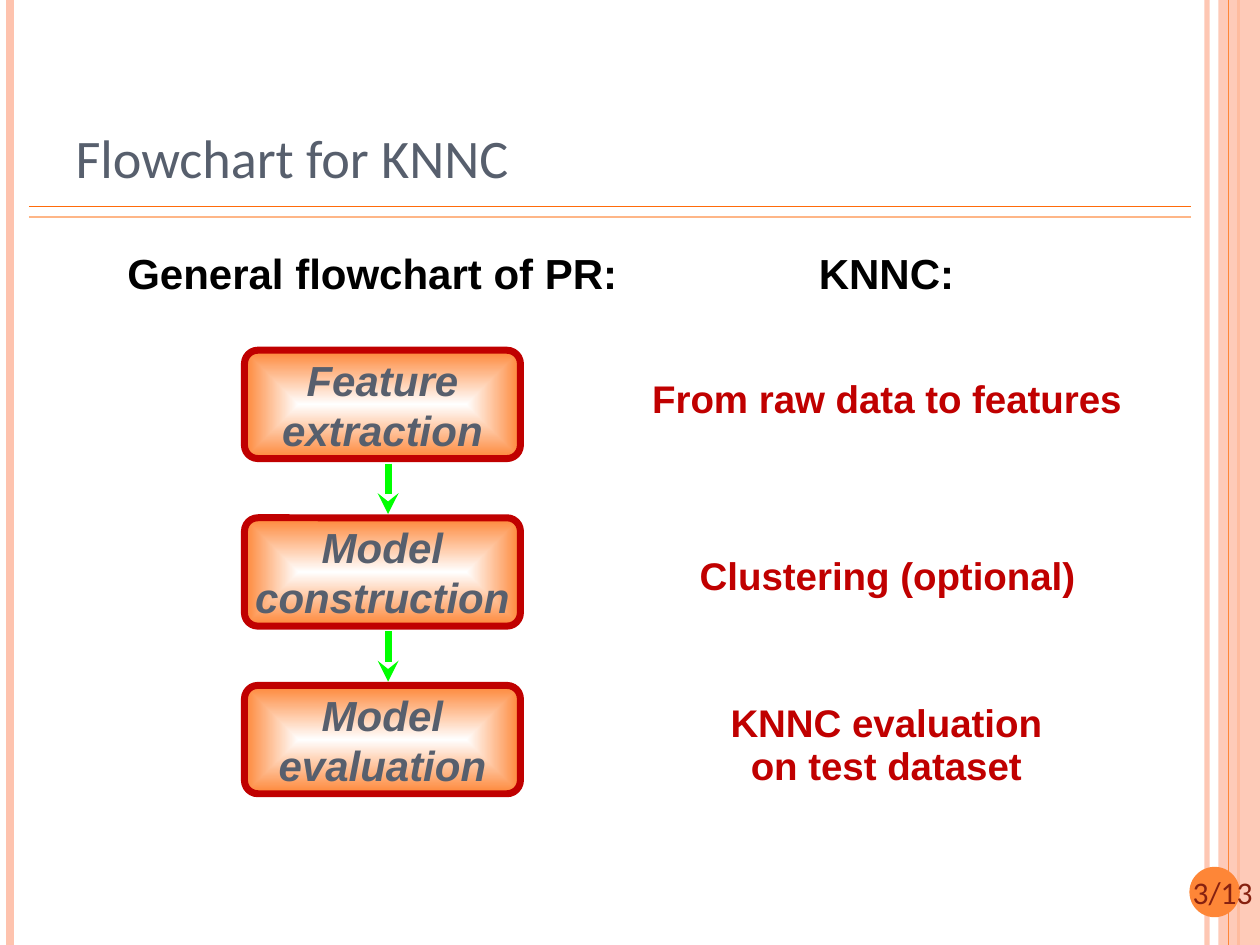
from dataclasses import dataclass

from lxml import etree
from pptx import Presentation
from pptx.dml.color import RGBColor
from pptx.enum.shapes import MSO_CONNECTOR, MSO_SHAPE
from pptx.enum.text import MSO_ANCHOR, PP_ALIGN
from pptx.oxml.ns import qn
from pptx.util import Inches, Pt

STRAIGHT = MSO_CONNECTOR.STRAIGHT
RECTANGLE, ROUNDED, OVAL = MSO_SHAPE.RECTANGLE, MSO_SHAPE.ROUNDED_RECTANGLE, MSO_SHAPE.OVAL
TOP, MIDDLE, BOTTOM = MSO_ANCHOR.TOP, MSO_ANCHOR.MIDDLE, MSO_ANCHOR.BOTTOM
LEFT, CENTER, RIGHT = PP_ALIGN.LEFT, PP_ALIGN.CENTER, PP_ALIGN.RIGHT


@dataclass(frozen=True)
class Theme:
    heading_font: str = "Calibri"
    body_font: str = "Arial"
    slate: str = "575F6D"
    black: str = "000000"
    white: str = "FFFFFF"
    red: str = "C00000"
    brown: str = "862110"
    green: str = "00FF00"
    orange: str = "FE8637"
    deep_orange: str = "FF6B0A"
    light_orange: str = "FEB687"
    pink: str = "FEC3AE"
    title_size: float = 31
    step_size: float = 24
    note_size: float = 22
    number_size: float = 18


theme = Theme()


def write_text(frame, text, *, size, color, font=theme.body_font, bold=False, italic=False,
               align=CENTER, anchor=TOP, wrap=False, tight=False):
    """Fill a text frame, one paragraph per line; tight closes up the line spacing."""
    frame.text = text
    frame.word_wrap = wrap
    frame.vertical_anchor = anchor
    for para in frame.paragraphs:
        para.alignment = align
        if tight:
            para.line_spacing = 0.65
            para.space_before = Pt(round(0.345 * size, 1))
        for span in para.runs:
            span.font.name = font
            span.font.size = Pt(size)
            span.font.bold = bold
            span.font.italic = italic
            span.font.color.rgb = RGBColor.from_string(color)


def draw_line(page, x1, y1, x2, y2, color, width):
    line = page.shapes.add_connector(STRAIGHT, Inches(x1), Inches(y1), Inches(x2), Inches(y2))
    line.line.color.rgb = RGBColor.from_string(color)
    line.line.width = Pt(width)
    etree.SubElement(line.element.spPr, qn("a:effectLst"))
    return line


deck = Presentation()
deck.slide_width, deck.slide_height = Inches(10), Inches(7.5)
page = deck.slides.add_slide(deck.slide_layouts[5])

# Side stripes and band
inner_stripe = draw_line(page, 9.58, 0, 9.58, 7.5, theme.pink, 3)
draw_line(page, 0.08, 0, 0.08, 7.5, theme.pink, 4.5)
draw_line(page, 9.83, 0, 9.83, 7.5, theme.orange, 1.5)
band = page.shapes.add_shape(RECTANGLE, Inches(9.67), 0, Inches(0.33), Inches(7.5))
badge = page.shapes.add_shape(OVAL, Inches(9.44), Inches(6.88), Inches(0.4), Inches(0.4))
for shape, color in ((band, theme.pink), (badge, theme.orange)):
    shape.shadow.inherit = False
    shape.fill.solid()
    shape.fill.fore_color.rgb = RGBColor.from_string(color)
    shape.line.fill.background()
for shape, opacity in ((inner_stripe, 93), (band, 87)):
    tint = next(shape.element.spPr.iter(qn("a:srgbClr")))
    etree.SubElement(tint, qn("a:alpha"), val=str(opacity * 1000))
draw_line(page, 9.75, 0, 9.75, 7.5, theme.orange, 0.75)

# Title with its double rule
for y, color in ((1.64, theme.deep_orange), (1.72, theme.light_orange)):
    draw_line(page, 0.23, y, 9.45, y, color, 1)
title = page.shapes.title
title.left, title.top, title.width, title.height = map(Inches, (0.5, 0.3, 8.17, 1.25))
write_text(title.text_frame, "Flowchart for KNNC", size=theme.title_size, color=theme.slate,
           font=theme.heading_font, align=LEFT, anchor=BOTTOM, wrap=True)

# Page number
number = page.shapes.add_textbox(Inches(9.13), Inches(6.88), Inches(0.91), Inches(0.4))
write_text(number.text_frame, "3/13", size=theme.number_size, color=theme.brown,
           font=theme.heading_font, align=RIGHT, wrap=True)

# Flowchart steps, joined by arrows
steps = ("Feature\nextraction", "Model\nconstruction", "Model\nevaluation")
first_top, pitch, step_height = 2.78, 1.33, 0.86
for index, text in enumerate(steps):
    top = first_top + index * pitch
    step = page.shapes.add_shape(ROUNDED, Inches(1.94), Inches(top),
                                 Inches(2.19), Inches(step_height))
    step.adjustments[0] = 0.124
    step.shadow.inherit = False
    step.line.color.rgb = RGBColor.from_string(theme.red)
    step.line.width = Pt(4)
    step.fill.gradient()
    for stop, color in zip(step.fill.gradient_stops, (theme.white, theme.orange)):
        stop.color.rgb = RGBColor.from_string(color)
    gradient = step.element.spPr.find(qn("a:gradFill"))
    gradient.remove(gradient.find(qn("a:lin")))
    center = etree.SubElement(gradient, qn("a:path"), {"path": "shape"})
    etree.SubElement(center, qn("a:fillToRect"), dict.fromkeys("ltrb", "50000"))
    write_text(step.text_frame, text, size=theme.step_size, color=theme.slate,
               bold=True, italic=True, anchor=MIDDLE)
    if index < len(steps) - 1:
        arrow_top = top + step_height + 0.04
        arrow = draw_line(page, 3.08, arrow_top, 3.08, arrow_top + 0.4, theme.green, 4)
        etree.SubElement(arrow.element.spPr.find(qn("a:ln")), qn("a:tailEnd"), type="stealth")

# Column headings and the KNNC notes
labels = (
    ("General flowchart of PR:", 0.89, 2.04, 4.13, 0.36, theme.step_size, theme.black),
    ("KNNC:", 6.39, 2.04, 1.29, 0.38, theme.step_size, theme.black),
    ("From raw data to features", 5.05, 3.04, 3.98, 0.34, theme.note_size, theme.red),
    ("Clustering (optional)", 5.43, 4.45, 3.23, 0.35, theme.note_size, theme.red),
    ("KNNC evaluation\non test dataset", 5.68, 5.61, 2.71, 0.7, theme.note_size, theme.red),
)
for text, left, top, width, height, size, color in labels:
    box = page.shapes.add_textbox(Inches(left), Inches(top), Inches(width), Inches(height))
    write_text(box.text_frame, text, size=size, color=color, bold=True, tight=True)

deck.save("out.pptx")
